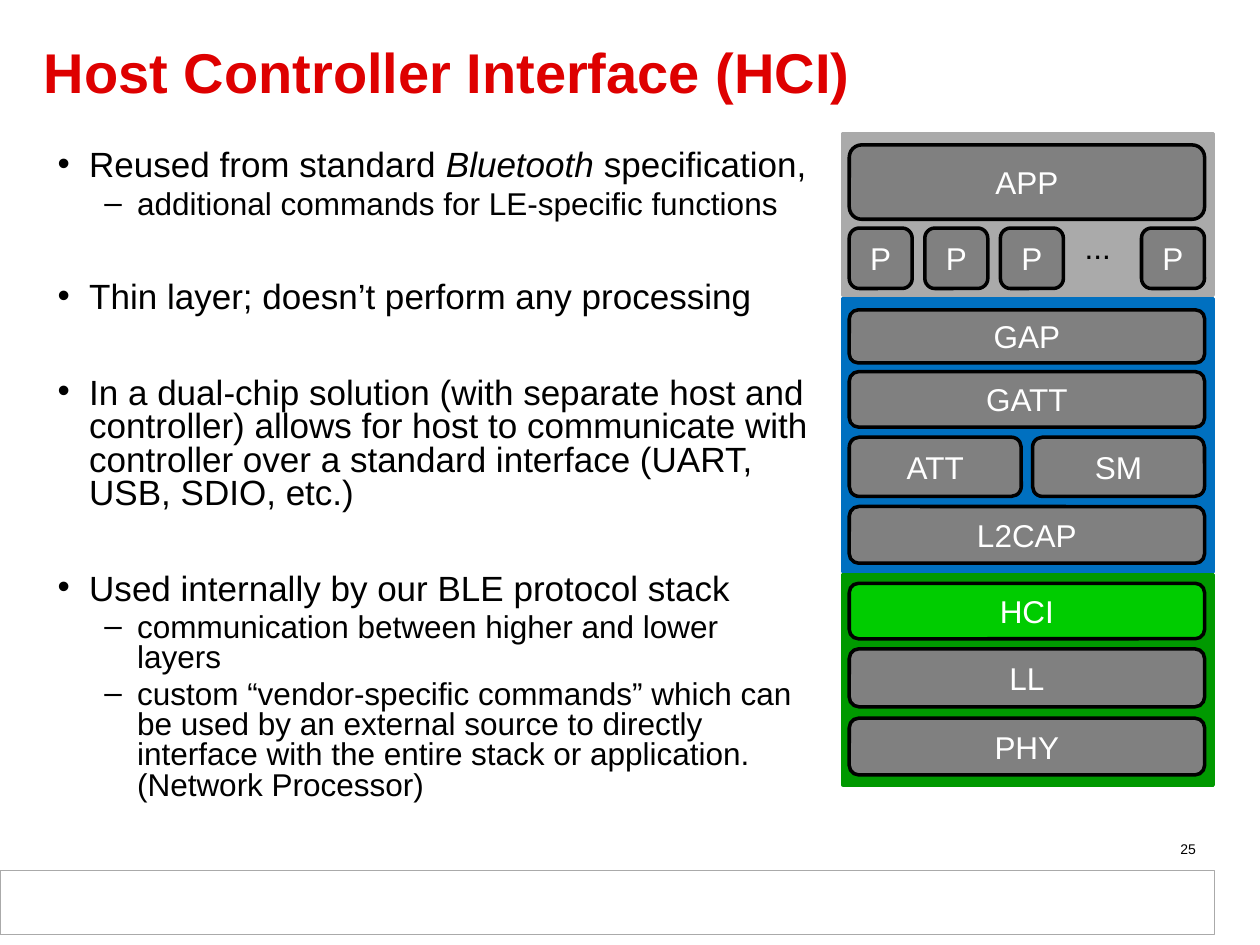
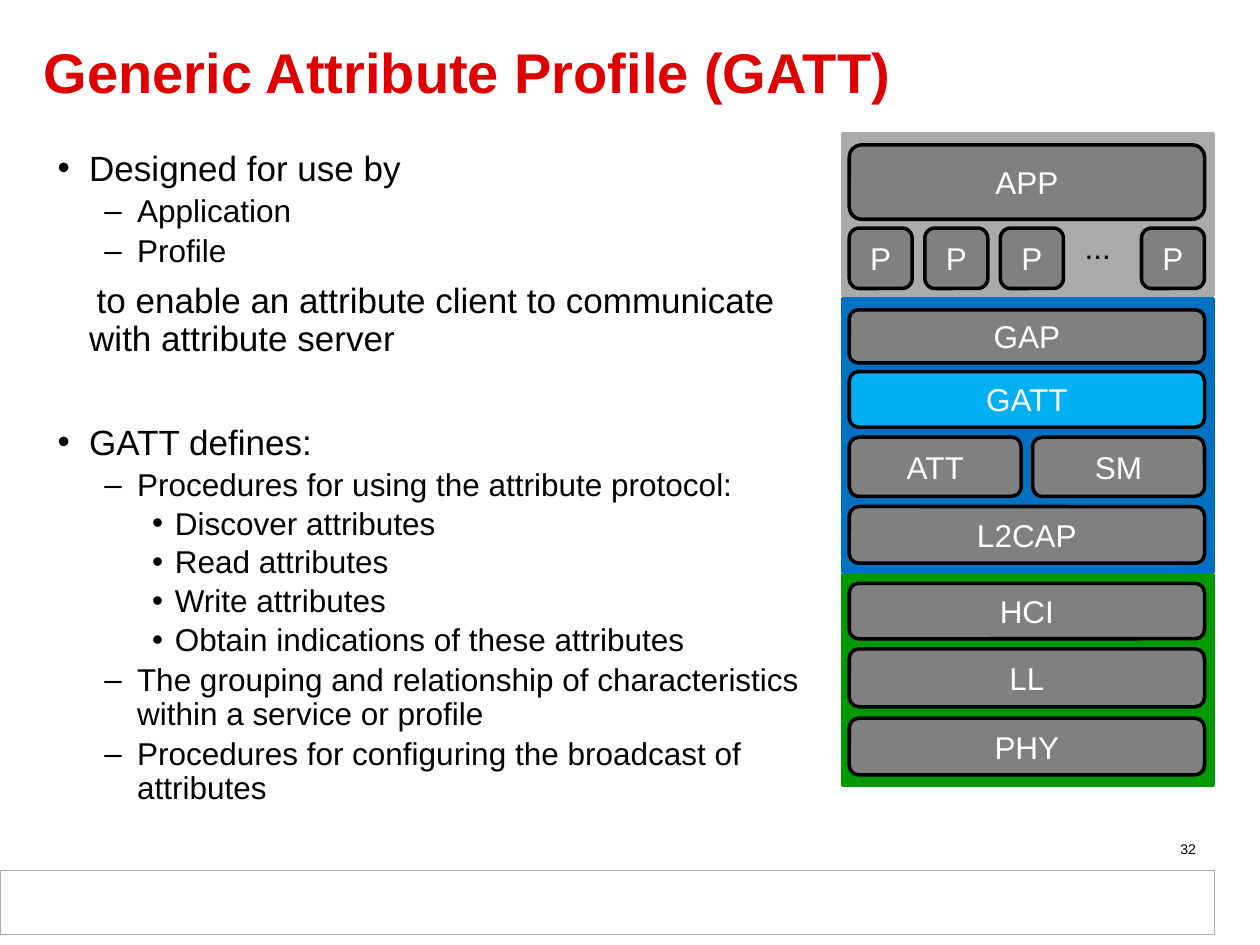
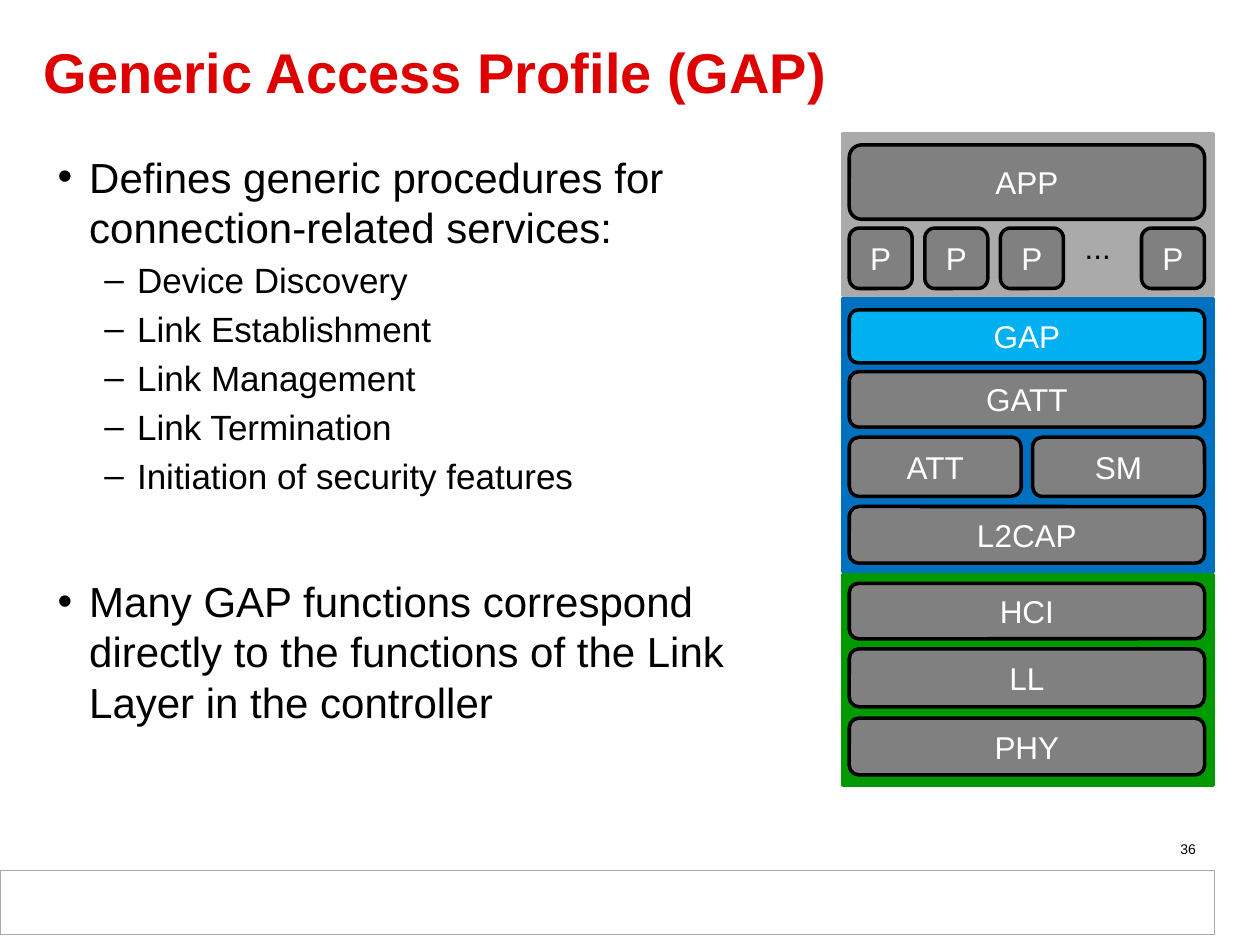
from dataclasses import dataclass
from pptx import Presentation
from pptx.dml.color import RGBColor as RGB
from pptx.enum.shapes import MSO_SHAPE as Shape
from pptx.enum.text import MSO_ANCHOR as Anchor, PP_ALIGN as Align
from pptx.oxml.ns import qn
from pptx.util import Inches, Pt
from lxml.etree import SubElement


@dataclass(frozen=True)
class Theme:
    font: str = "Arial"
    red: str = "DE0000"
    black: str = "000000"
    white: str = "FFFFFF"
    pale: str = "AAAAAA"
    grey: str = "808080"
    blue: str = "0070C0"
    green: str = "009900"
    sky: str = "00B0F0"
    lime: str = "00CC00"
    title: int = 32
    label: int = 18
    small: int = 8


T = Theme()

# Body lines are (kind, text); *stars* mark italics.
# "gap" is a point that stands one line clear of the text above it.
SLIDES = [
    dict(title="Host Controller Interface (HCI)", page=25, lit=("HCI", T.lime),
         width=6.16, pitch=0.8, sizes=(20, 18, 18), body=[
        ("point", "Reused from standard *Bluetooth* specification,"),
        ("dash", "additional commands for LE-specific functions"),
        ("gap", "Thin layer; doesn’t perform any processing"),
        ("gap", "In a dual-chip solution (with separate host and controller) "
                "allows for host to communicate with controller over a "
                "standard interface (UART, USB, SDIO, etc.)"),
        ("gap", "Used internally by our BLE protocol stack"),
        ("dash", "communication between higher and lower layers"),
        ("dash", "custom “vendor-specific commands” which can be used by an "
                 "external source to directly interface with the entire stack "
                 "or application. (Network Processor)"),
    ]),
    dict(title="Generic Attribute Profile (GATT)", page=32, lit=("GATT", T.sky),
         width=6.13, pitch=0.9, sizes=(20, 18, 18), body=[
        ("point", "Designed for use by"),
        ("dash", "Application"),
        ("dash", "Profile"),
        ("plain", "to enable an attribute client to communicate with "
                  "attribute server"),
        ("gap", "GATT defines:"),
        ("dash", "Procedures for using the attribute protocol:"),
        ("dot", "Discover attributes"),
        ("dot", "Read attributes"),
        ("dot", "Write attributes"),
        ("dot", "Obtain indications of these attributes"),
        ("dash", "The grouping and relationship of characteristics within a "
                 "service or profile"),
        ("dash", "Procedures for configuring the broadcast of attributes"),
    ]),
    dict(title="Generic Access Profile (GAP)", page=36, lit=("GAP", T.sky),
         width=5.57, pitch=1.0, sizes=(24, 20, 20), body=[
        ("point", "Defines generic procedures for connection-related services:"),
        ("dash", "Device Discovery"),
        ("dash", "Link Establishment"),
        ("dash", "Link Management"),
        ("dash", "Link Termination"),
        ("dash", "Initiation of security features"),
        ("gap", "Many GAP functions correspond directly to the functions of "
                "the Link Layer in the controller"),
    ]),
]

# kind: level, left margin, first-line indent, bullet
KINDS = {
    "point": (0, 0.25, -0.25, "•"),
    "gap": (0, 0.25, -0.25, "•"),
    "plain": (0, 0.25, 0.06, None),
    "dash": (1, 0.63, -0.26, "–"),
    "dot": (2, 0.93, -0.18, "•"),
}
POINT_GAP, LINE = 8, 1.2
SHARE = (0, 0.2, 0.15)  # space before, as a share of the type size

# The protocol stack: bands (top, height, colour), rows (top, height, labels)
BAND_X, BAND_W = 6.69, 2.94
BANDS = [(1.06, 1.28, T.pale), (2.37, 2.17, T.blue), (4.56, 1.67, T.green)]
ROW_X, ROW_W, ROW_GAP = 6.74, 2.82, 0.09
ROWS = [
    (1.15, 0.59, ["APP"]),
    (2.46, 0.42, ["GAP"]),
    (2.95, 0.44, ["GATT"]),
    (3.47, 0.47, ["ATT", "SM"]),
    (4.02, 0.45, ["L2CAP"]),
    (4.63, 0.44, ["HCI"]),
    (5.15, 0.46, ["LL"]),
    (5.70, 0.45, ["PHY"]),
]
PROF_Y, PROF_W, PROF_H, PROF_STEP = 1.81, 0.5, 0.48, 0.6


def style(font, **vals):
    font.color.rgb = RGB.from_string(vals.pop("color", T.black))
    for key, val in dict(name=T.font, **vals).items():
        setattr(font, key, val)


def write(para, text, size, **vals):
    """Add text as runs, with every second part between stars in italics."""
    for n, part in enumerate(text.split("*")):
        run = para.add_run()
        run.text = part
        style(run.font, size=Pt(size), italic=n % 2 == 1, **vals)


def block(shapes, kind, at, fill, line, weight=2):
    box = shapes.add_shape(kind, *map(Inches, at))
    box.shadow.inherit = False
    box.fill.solid()
    box.fill.fore_color.rgb = RGB.from_string(fill)
    box.line.color.rgb = RGB.from_string(line)
    box.line.width = Pt(weight)
    return box


def cell(shapes, label, at, fill):
    frame = block(shapes, Shape.ROUNDED_RECTANGLE, at, fill, T.black).text_frame
    frame.vertical_anchor = Anchor.MIDDLE
    frame.paragraphs[0].alignment = Align.CENTER
    write(frame.paragraphs[0], label, T.label, color=T.white)


def area(shapes, at):
    frame = shapes.add_textbox(*map(Inches, at)).text_frame
    frame.word_wrap = True
    return frame


def stack(slide, lit, glow):
    """Draw the protocol stack with the layer named lit in the glow colour."""
    shapes = slide.shapes.add_group_shape().shapes
    for top, high, tone in BANDS:
        block(shapes, Shape.RECTANGLE, (BAND_X, top, BAND_W, high), tone, tone)
    for left in [ROW_X + n * PROF_STEP for n in range(3)] + [ROW_X + ROW_W - PROF_W]:
        cell(shapes, "P", (left, PROF_Y, PROF_W, PROF_H), T.grey)
    dots = area(shapes, (8.51, 1.76, 0.59, 0.44))
    write(dots.paragraphs[0], "...", T.label)
    for top, high, names in ROWS:
        wide = (ROW_W - ROW_GAP * (len(names) - 1)) / len(names)
        for n, name in enumerate(names):
            left = ROW_X + n * (wide + ROW_GAP)
            cell(shapes, name, (left, top, wide, high),
                 glow if name == lit else T.grey)


def body(slide, width, pitch, sizes, lines):
    frame = area(slide.shapes, (0.36, 1.15, width, 5.41))
    for n, (kind, text) in enumerate(lines):
        para = frame.add_paragraph() if n else frame.paragraphs[0]
        level, left, first, mark = KINDS[kind]
        size = sizes[level]
        props = para._p.get_or_add_pPr()
        props.set("marL", str(Inches(left)))
        props.set("indent", str(Inches(first)))
        if mark:
            SubElement(props, qn("a:buFont")).set("typeface", T.font)
            SubElement(props, qn("a:buChar")).set("char", mark)
        para.level = level
        para.line_spacing = pitch
        if n:
            space = SHARE[level] * size if level else POINT_GAP
            if kind == "gap":
                space += POINT_GAP + LINE * pitch * size
            para.space_before = Pt(space)
        write(para, text, size)


def frame_slide(slide, title, page):
    """Add the footer band, the title and the page number."""
    block(slide.shapes, Shape.RECTANGLE, (0, 6.91, 9.64, 0.51),
          T.white, T.pale, 0.75)
    head = area(slide.shapes, (0.25, 0.16, 9.25, 0.89))
    head.vertical_anchor = Anchor.MIDDLE
    head.paragraphs[0].line_spacing = 0.85
    write(head.paragraphs[0], title, T.title, color=T.red, bold=True)
    foot = area(slide.shapes, (7.26, 6.62, 2.33, 0.23)).paragraphs[0]
    foot.alignment = Align.RIGHT
    write(foot, str(page), T.small)


def main():
    deck = Presentation()
    deck.slide_width, deck.slide_height = Inches(10), Inches(7.5)
    for data in SLIDES:
        slide = deck.slides.add_slide(deck.slide_layouts[6])
        frame_slide(slide, data["title"], data["page"])
        body(slide, data["width"], data["pitch"], data["sizes"], data["body"])
        stack(slide, *data["lit"])
    deck.save("out.pptx")


if __name__ == "__main__":
    main()
